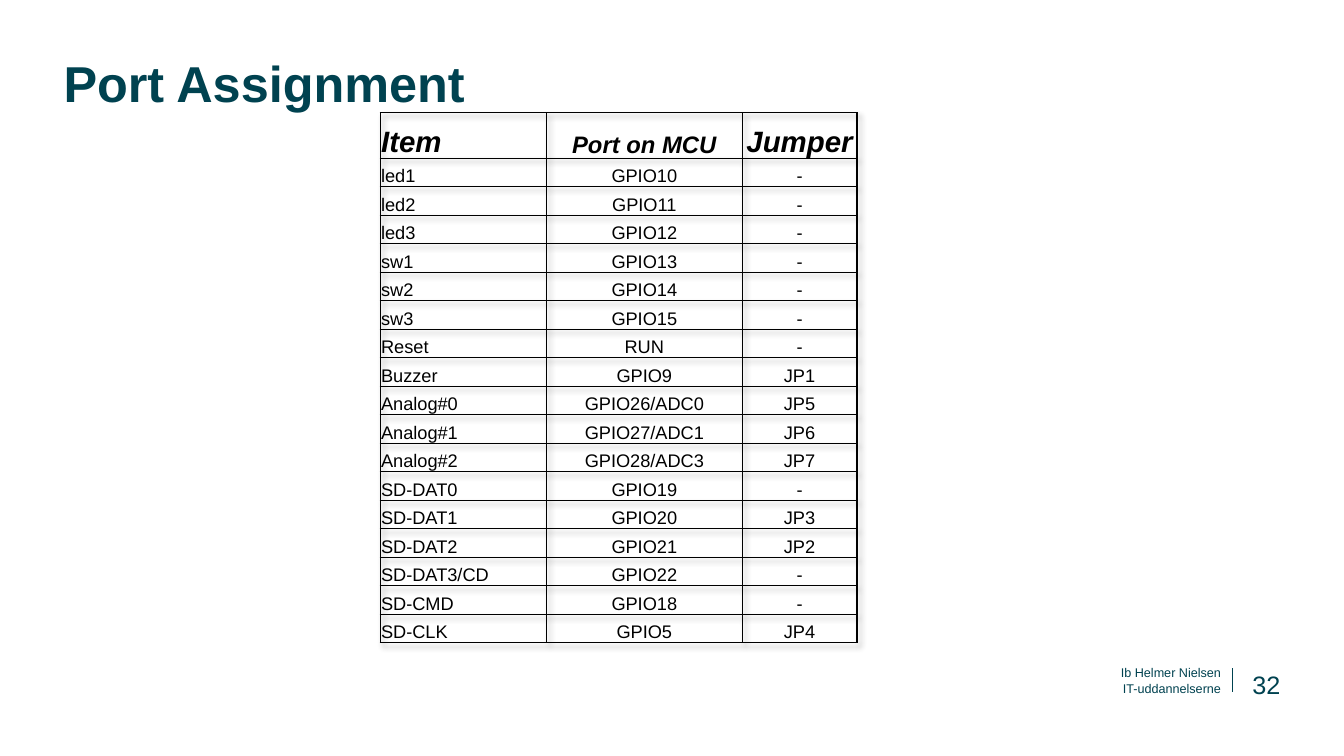
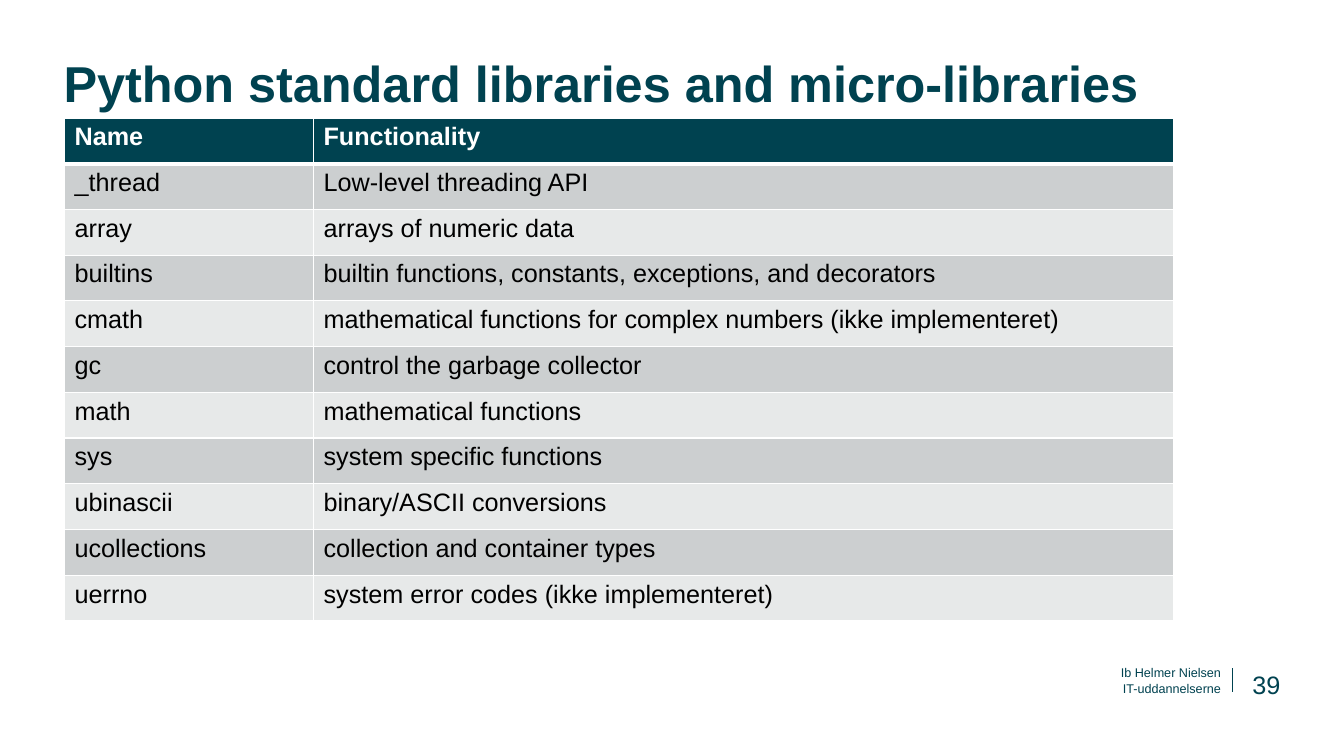
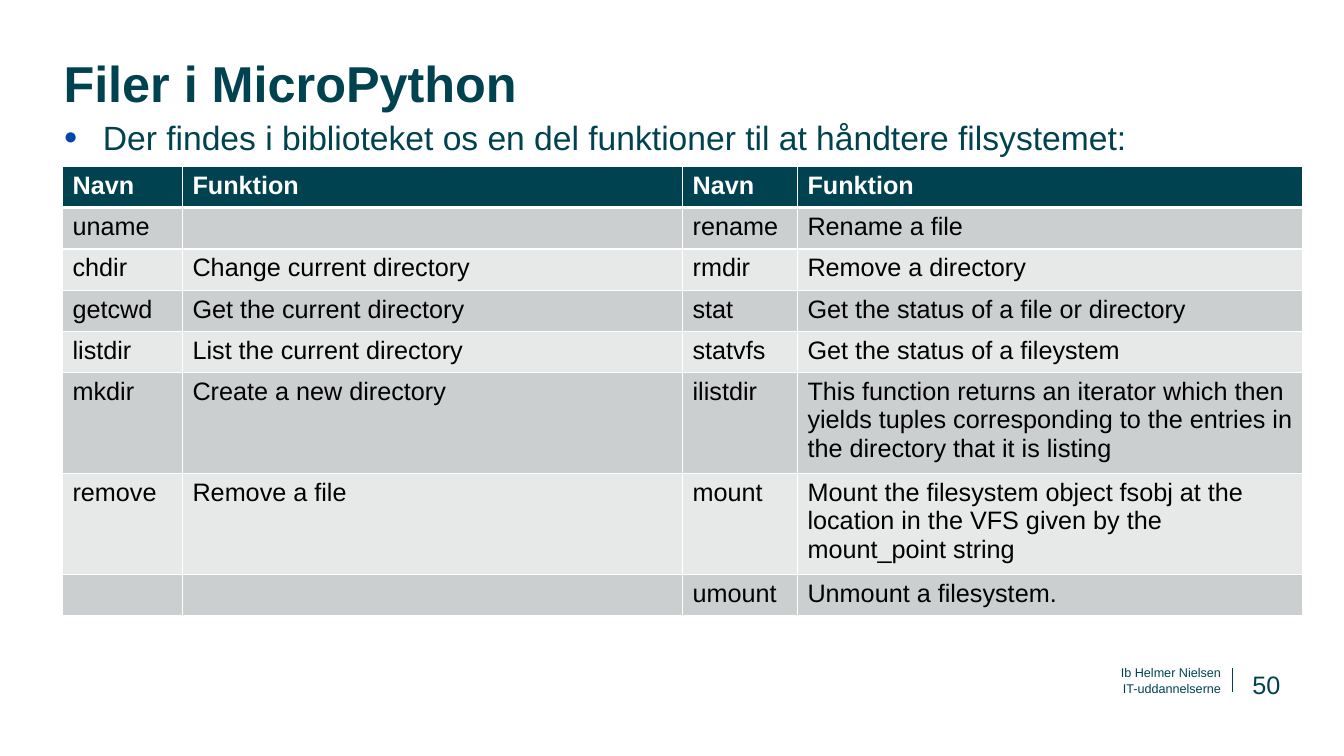
from dataclasses import dataclass
from typing import Sequence

from lxml.etree import SubElement
from pptx import Presentation
from pptx.dml.color import RGBColor
from pptx.enum.shapes import MSO_CONNECTOR
from pptx.enum.text import MSO_ANCHOR as Anchor, PP_ALIGN as Align
from pptx.oxml import parse_xml
from pptx.oxml.ns import nsdecls, qn
from pptx.util import Inches, Pt

COLORS = {
    "petrol": "004250",
    "bullet": "0046AD",
    "black": "000000",
    "white": "FFFFFF",
    "dark_band": "CCCFD0",
    "light_band": "E7E9E9",
}
FONT = "Arial"
FOOTER_LINES = ("Ib Helmer Nielsen", "IT-uddannelserne")


@dataclass(frozen=True)
class TableLook:
    rule_color: str
    outer: float
    inner: float
    header_rule: float
    header_sizes: Sequence[float]
    body_size: float
    aligns: Sequence[Align]
    header_color: str
    anchor: Anchor = Anchor.TOP
    margins: tuple[float, float, float, float] = (0.1, 0.05, 0.1, 0.05)
    header_italic: bool = False
    banded: bool = True
    shadow: bool = False


@dataclass(frozen=True)
class TableData:
    left: float
    top: float
    widths: Sequence[float]
    heights: Sequence[float]
    rows: Sequence[Sequence[str]]
    look: TableLook


PORT_LOOK = TableLook(
    "black", 1, 0.5, 1, (21, 17, 21), 13, (Align.LEFT, Align.CENTER, Align.CENTER),
    "black", Anchor.BOTTOM, (0.01, 0.01, 0.01, 0), True, False, True,
)
BANDED_LOOK = TableLook("white", 1, 1, 3, (18,) * 4, 18, (Align.LEFT,) * 4, "white")

PORTS = TableData(
    3.77, 1.12, (1.65, 1.94, 1.14), (0.45, *[(5.26 - 0.45) / 17] * 17),
    (
        ("Item", "Port on MCU", "Jumper"),
        ("led1", "GPIO10", "-"),
        ("led2", "GPIO11", "-"),
        ("led3", "GPIO12", "-"),
        ("sw1", "GPIO13", "-"),
        ("sw2", "GPIO14", "-"),
        ("sw3", "GPIO15", "-"),
        ("Reset", "RUN", "-"),
        ("Buzzer", "GPIO9", "JP1"),
        ("Analog#0", "GPIO26/ADC0", "JP5"),
        ("Analog#1", "GPIO27/ADC1", "JP6"),
        ("Analog#2", "GPIO28/ADC3", "JP7"),
        ("SD-DAT0", "GPIO19", "-"),
        ("SD-DAT1", "GPIO20", "JP3"),
        ("SD-DAT2", "GPIO21", "JP2"),
        ("SD-DAT3/CD", "GPIO22", "-"),
        ("SD-CMD", "GPIO18", "-"),
        ("SD-CLK", "GPIO5", "JP4"),
    ),
    PORT_LOOK,
)
LIBRARIES = TableData(
    0.64, 1.17, (2.47, 8.53), (4.99 / 11,) * 11,
    (
        ("Name", "Functionality"),
        ("_thread", "Low-level threading API"),
        ("array", "arrays of numeric data"),
        ("builtins", "builtin functions, constants, exceptions, and decorators"),
        ("cmath", "mathematical functions for complex numbers (ikke implementeret)"),
        ("gc", "control the garbage collector"),
        ("math", "mathematical functions"),
        ("sys", "system specific functions"),
        ("ubinascii", "binary/ASCII conversions"),
        ("ucollections", "collection and container types"),
        ("uerrno", "system error codes (ikke implementeret)"),
    ),
    BANDED_LOOK,
)
FILE_FUNCTIONS = TableData(
    0.62, 1.65, (1.19, 4.96, 1.14, 5.01), (0.41,) * 8,
    (
        ("Navn", "Funktion", "Navn", "Funktion"),
        ("uname", "", "rename", "Rename a file"),
        ("chdir", "Change current directory", "rmdir", "Remove a directory"),
        ("getcwd", "Get the current directory", "stat",
         "Get the status of a file or directory"),
        ("listdir", "List the current directory", "statvfs",
         "Get the status of a fileystem"),
        ("mkdir", "Create a new directory", "ilistdir",
         "This function returns an iterator which then yields tuples corresponding "
         "to the entries in the directory that it is listing"),
        ("remove", "Remove a file", "mount",
         "Mount the filesystem object fsobj at the location in the VFS given by the "
         "mount_point string"),
        ("", "", "umount", "Unmount a filesystem."),
    ),
    BANDED_LOOK,
)


def rgb(name: str) -> RGBColor:
    return RGBColor.from_string(COLORS[name])


def write(tf, text: str, *, size: float, color: str = "petrol", bold: bool = False,
          italic: bool = False, align: Align = Align.LEFT, spacing: float | None = None):
    """Put one formatted run in the first paragraph and return the paragraph."""
    p = tf.paragraphs[0]
    p.alignment = align
    if spacing:
        p.line_spacing = spacing
    if text:
        r = p.add_run()
        r.text = text
        font = r.font
        font.name, font.size, font.bold, font.italic = FONT, Pt(size), bold, italic
        font.color.rgb = rgb(color)
    return p


def add_text(s, box: tuple[float, float, float, float], text: str, *,
             anchor: Anchor = Anchor.TOP, **text_format):
    tf = s.shapes.add_textbox(*map(Inches, box)).text_frame
    tf.word_wrap = True
    tf.vertical_anchor = anchor
    tf.margin_left = tf.margin_top = tf.margin_right = tf.margin_bottom = 0
    return write(tf, text, **text_format)


def add_bullet(s, text: str) -> None:
    p = add_text(s, (0.63, 1.14, 12.08, 5.11), text, size=24, spacing=1.04)
    p.space_after = Pt(14.2)
    pPr = p._p.get_or_add_pPr()
    pPr.set("marL", str(Inches(0.39)))
    pPr.set("indent", str(-Inches(0.39)))
    SubElement(SubElement(pPr, qn("a:buClr")), qn("a:srgbClr"), val=COLORS["bullet"])
    SubElement(pPr, qn("a:buSzPct"), val="70000")
    SubElement(pPr, qn("a:buFont"), typeface=FONT)
    SubElement(pPr, qn("a:buChar"), char="●")


def set_borders(cell, color: str, widths: dict[str, float]) -> None:
    tcPr = cell._tc.get_or_add_tcPr()
    for side, width in widths.items():
        ln = SubElement(tcPr, qn(f"a:ln{side}"), w=str(Pt(width)))
        SubElement(SubElement(ln, qn("a:solidFill")), qn("a:srgbClr"), val=COLORS[color])


def add_table_shadow(table) -> None:
    table._tbl.tblPr.insert(0, parse_xml(
        f'<a:effectLst {nsdecls("a")}>'
        '<a:outerShdw blurRad="50800" dist="38100" dir="2700000" algn="tl" rotWithShape="0">'
        '<a:prstClr val="black"><a:alpha val="40000"/></a:prstClr>'
        '</a:outerShdw></a:effectLst>'))


def add_table(s, data: TableData) -> None:
    look = data.look
    last_row, last_col = len(data.rows) - 1, len(data.widths) - 1
    table = s.shapes.add_table(
        last_row + 1, last_col + 1, Inches(data.left), Inches(data.top),
        Inches(sum(data.widths)), Inches(sum(data.heights))).table
    table.first_row = table.horz_banding = False
    if look.shadow:
        add_table_shadow(table)
    for column, width in zip(table.columns, data.widths):
        column.width = Inches(width)
    for row, height in zip(table.rows, data.heights):
        row.height = Inches(height)
    rules = [look.outer, look.header_rule, *[look.inner] * (last_row - 1), look.outer]

    for i, texts in enumerate(data.rows):
        header = i == 0
        band = "petrol" if header else "dark_band" if i % 2 else "light_band"
        for j, text in enumerate(texts):
            cell = table.cell(i, j)
            cell.vertical_anchor = look.anchor
            (cell.margin_left, cell.margin_top, cell.margin_right,
             cell.margin_bottom) = map(Inches, look.margins)
            set_borders(cell, look.rule_color, {
                "L": look.outer if j == 0 else look.inner,
                "R": look.outer if j == last_col else look.inner,
                "T": rules[i],
                "B": rules[i + 1],
            })
            if look.banded:
                cell.fill.solid()
                cell.fill.fore_color.rgb = rgb(band)
            else:
                cell.fill.background()
            write(cell.text_frame, text, align=look.aligns[j], bold=header,
                  size=look.header_sizes[j] if header else look.body_size,
                  color=look.header_color if header else "black",
                  italic=header and look.header_italic)


def add_slide(prs, title: str, number: int):
    """Start a slide with the shared title, footer and slide number."""
    s = prs.slides.add_slide(prs.slide_layouts[6])
    line = s.shapes.add_connector(
        MSO_CONNECTOR.STRAIGHT, *map(Inches, (12.22, 6.63, 12.22, 6.87)))
    line.line.color.rgb = rgb("petrol")
    line.line.width = Pt(0.5)
    SubElement(line._element.spPr, qn("a:effectLst"))
    for i, text in enumerate(FOOTER_LINES):
        add_text(s, (7.91, 6.59 + 0.16 * i, 4.2, 0.16), text,
                 size=9, align=Align.RIGHT, anchor=Anchor.BOTTOM)
    add_text(s, (0.63, 0.59, 12.08, 1), title, size=36, bold=True, spacing=0.88)
    add_text(s, (12.23, 6.37, 0.47, 0.57), str(number),
             size=18, align=Align.RIGHT, anchor=Anchor.BOTTOM)
    return s


def main() -> None:
    prs = Presentation()
    prs.slide_width, prs.slide_height = Inches(13.33), Inches(7.5)

    add_table(add_slide(prs, "Port Assignment", 32), PORTS)
    add_table(add_slide(prs, "Python standard libraries and micro-libraries", 39), LIBRARIES)
    s = add_slide(prs, "Filer i MicroPython", 50)
    add_bullet(s, "Der findes i biblioteket os en del funktioner til at håndtere filsystemet:")
    add_table(s, FILE_FUNCTIONS)

    prs.save("out.pptx")


if __name__ == "__main__":
    main()
